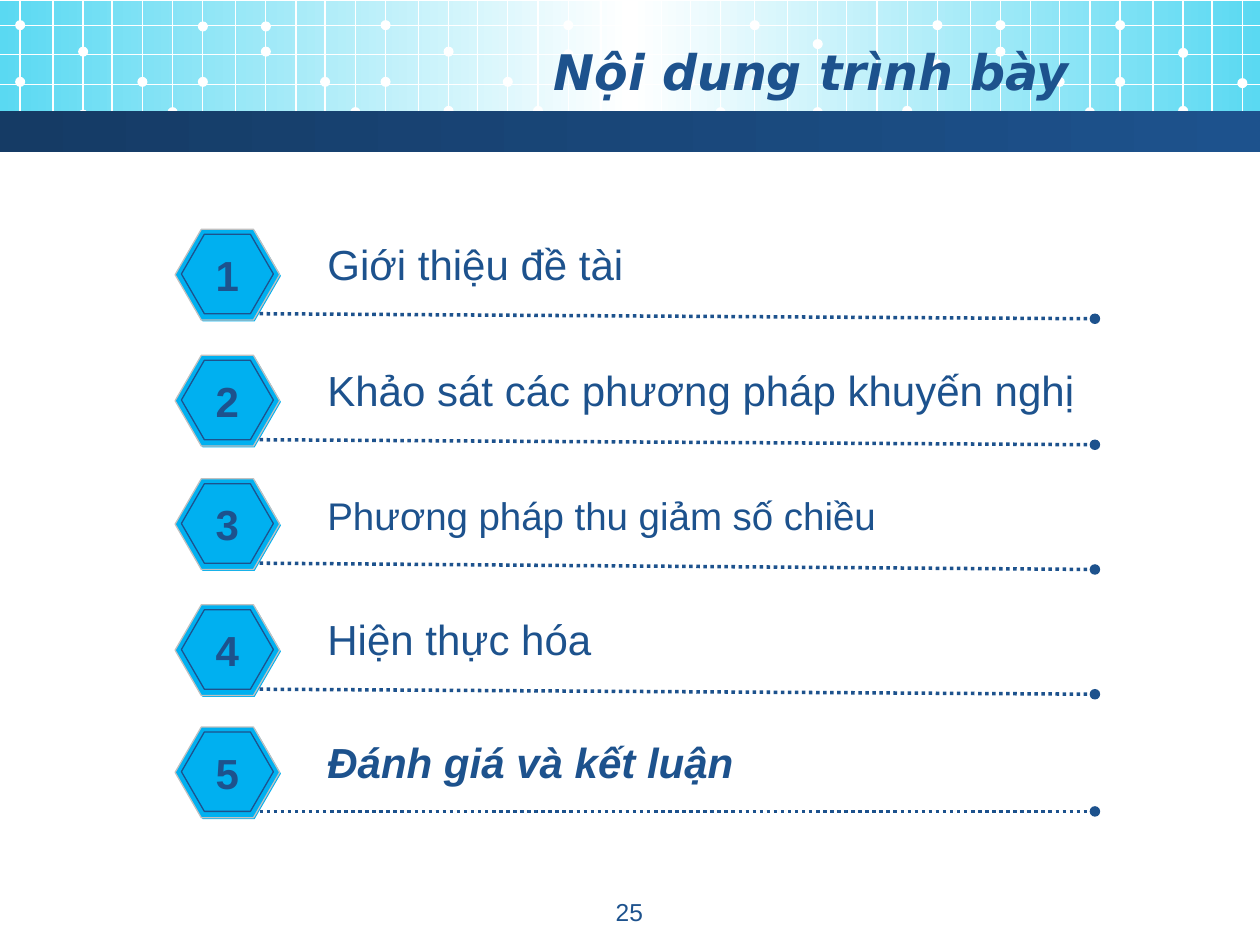
from lxml.etree import SubElement
from pptx import Presentation
from pptx.dml.color import RGBColor
from pptx.enum.dml import MSO_LINE
from pptx.enum.shapes import MSO_CONNECTOR, MSO_SHAPE
from pptx.enum.text import MSO_ANCHOR, MSO_AUTO_SIZE, PP_ALIGN
from pptx.oxml.ns import qn
from pptx.util import Inches, Pt

COLORS = {
    "navy": "1D528D", "deep": "153B65", "aqua": "5AD9F2",
    "blue": "00B0F0", "silver": "C0C0C0", "white": "FFFFFF",
}

deck = Presentation()
deck.slide_width, deck.slide_height = Inches(10), Inches(7.5)
slide = deck.slides.add_slide(deck.slide_layouts[5])
shapes = slide.shapes

# Page grid: 100 columns by 75 rows
COL = deck.slide_width / 100
ROW = deck.slide_height / 75


def write(holder, text, size=24, font="Arial", color="navy", bold=False,
          italic=False, align=PP_ALIGN.LEFT, anchor=MSO_ANCHOR.TOP, wrap=False):
    frame = holder.text_frame
    frame.text = text
    frame.word_wrap = wrap
    frame.auto_size = MSO_AUTO_SIZE.NONE
    frame.vertical_anchor = anchor
    line = frame.paragraphs[0]
    line.alignment = align
    line.font.name, line.font.size = font, Pt(size)
    line.font.bold, line.font.italic = bold, italic
    line.font.color.rgb = RGBColor.from_string(COLORS[color])


def draw_line(parent, x1, y1, x2, y2, color="white", width=0.75):
    rule = parent.add_connector(MSO_CONNECTOR.STRAIGHT, int(x1 * COL), int(y1 * ROW),
                                int(x2 * COL), int(y2 * ROW))
    rule.line.color.rgb = RGBColor.from_string(COLORS[color])
    rule.line.width = Pt(width)
    SubElement(rule.element.spPr, qn("a:effectLst"))
    return rule


# Header bands: top, height, gradient stops
bands = []
for top, height, stops in [
    (0.1, 10.2, [(0, "aqua"), (50, "white"), (100, "aqua")]),
    (8.8, 3.3, [(0, "deep"), (100, "navy")]),
]:
    band = shapes.add_shape(MSO_SHAPE.RECTANGLE, 0, int(top * ROW),
                            deck.slide_width, int(height * ROW))
    band.shadow.inherit = False
    band.line.fill.background()
    band.fill.gradient()
    band.fill.gradient_angle = 0
    stop_list = band.element.spPr.find(qn("a:gradFill")).find(qn("a:gsLst"))
    stop_list.clear()
    for position, color in stops:
        stop = SubElement(stop_list, qn("a:gs"), pos=str(position * 1000))
        SubElement(stop, qn("a:srgbClr"), val=COLORS[color])
    bands.append(band)

# White mesh on the upper band: four panels of twelve lines, with dots on some
mesh = shapes.add_group_shape().shapes
LINE_OFFSETS = [0, 2.6, 5, 7.3, 9.7, 12.1, 14.5, 17.1, 19.5, 21.9, 24.2, 26.6]
DOT_LINES = [0, 0, 2, 2, 4, 5, 6, 6, 8, 8, 10, 11]
DOT = 0.8
panels = [
    (1.6, [6.5, 2, 4.1, 9.1, 6.5, 8.9, 6.5, 2.1, 4.1, 2.1, 6.5, 8.9]),
    (30.6, [6.5, 2, 4.1, 8.8, 6.5, 8.8, 4.3, 2, 4.2, 2, 6.5, 8.9]),
    (59.9, [6.6, 2, 3.5, 8.9, 6.4, 8.8, 5.1, 2, 4.1, 2, 6.5, 8.9]),
    (88.9, [6.5, 2, 4.2, 8.8, 6.6]),
]
for left, dot_rows in panels:
    for offset in LINE_OFFSETS:
        if left + offset < 100:
            draw_line(mesh, left + offset, 0, left + offset, 11)
    for index, row in zip(DOT_LINES, dot_rows):
        center = left + LINE_OFFSETS[index]
        dot = mesh.add_shape(MSO_SHAPE.OVAL, int((center - DOT / 2) * COL),
                             int((row - DOT / 2) * ROW), int(DOT * COL), int(DOT * ROW))
        dot.shadow.inherit = False
        dot.fill.solid()
        dot.fill.fore_color.rgb = RGBColor.from_string(COLORS["white"])
        dot.line.fill.background()
for row in [2, 4.3, 6.7, 8.9]:
    draw_line(mesh, 0, row, 100, row)

# The lower band and the title lie over the mesh
title = shapes.title
title.left, title.top = int(5 * COL), int(2.5 * ROW)
title.width, title.height = int(80.8 * COL), int(6.2 * ROW)
write(title, "Nội dung trình bày", size=28, font="DejaVu Sans", bold=True, italic=True,
      align=PP_ALIGN.RIGHT, anchor=MSO_ANCHOR.MIDDLE, wrap=True)
for front in (bands[1], title):
    shapes.element.append(front.element)

# Page number
page_number = shapes.add_textbox(int(38.3 * COL), int(70.7 * ROW),
                                 int(23.3 * COL), int(3.5 * ROW))
write(page_number, "25", size=14, align=PP_ALIGN.CENTER, wrap=True)

# Agenda: badge top, text top, line end row, text width, text, text format
agenda = [
    (18.2, 18.4, 25.3, 25.8, "Giới thiệu đề tài", {}),
    (28.2, 28.4, 35.3, 61.9, "Khảo sát các phương pháp khuyến nghị", {}),
    (38, 38.6, 45.2, 47, "Phương pháp thu giảm số chiều", {"size": 22}),
    (48, 48.2, 55.1, 23.2, "Hiện thực hóa", {}),
    (57.7, 58, 64.4, 34.5, "Đánh giá và kết luận", {"bold": True, "italic": True}),
]
# Badge layers: left, drop below the badge top, width, height, outline
layers = [(14, 0.1, 8.3, 7.2, None), (13.9, 0, 8.3, 7.2, "silver"),
          (14.4, 0.4, 7.3, 6.3, "navy")]
for number, (top, text_top, line_end, text_width, topic, style) in enumerate(agenda, 1):
    badge = shapes.add_group_shape().shapes
    for left, drop, width, height, outline in layers:
        hexagon = badge.add_shape(MSO_SHAPE.HEXAGON, int(left * COL), int((top + drop) * ROW),
                                  int(width * COL), int(height * ROW))
        hexagon.adjustments[0], hexagon.adjustments[1] = 0.289, 1.155
        hexagon.shadow.inherit = False
        hexagon.fill.solid()
        hexagon.fill.fore_color.rgb = RGBColor.from_string(COLORS["blue"])
        if outline:
            hexagon.line.color.rgb = RGBColor.from_string(COLORS[outline])
            hexagon.line.width = Pt(0.75)
        else:
            hexagon.line.fill.background()

    underline = draw_line(shapes, 20.6, top + 6.7, 86.9, line_end, "navy", 2)
    underline.line.dash_style = MSO_LINE.ROUND_DOT
    SubElement(underline.line._get_or_add_ln(), qn("a:tailEnd"), type="oval")

    entry = shapes.add_textbox(int(25 * COL), int(text_top * ROW),
                               int(text_width * COL), int(5 * ROW))
    write(entry, topic, **style)
    numeral = shapes.add_textbox(int(16.1 * COL), int((top + 1.1) * ROW),
                                 int(3.9 * COL), int(5 * ROW))
    write(numeral, str(number), bold=True, align=PP_ALIGN.CENTER)

deck.save("out.pptx")
